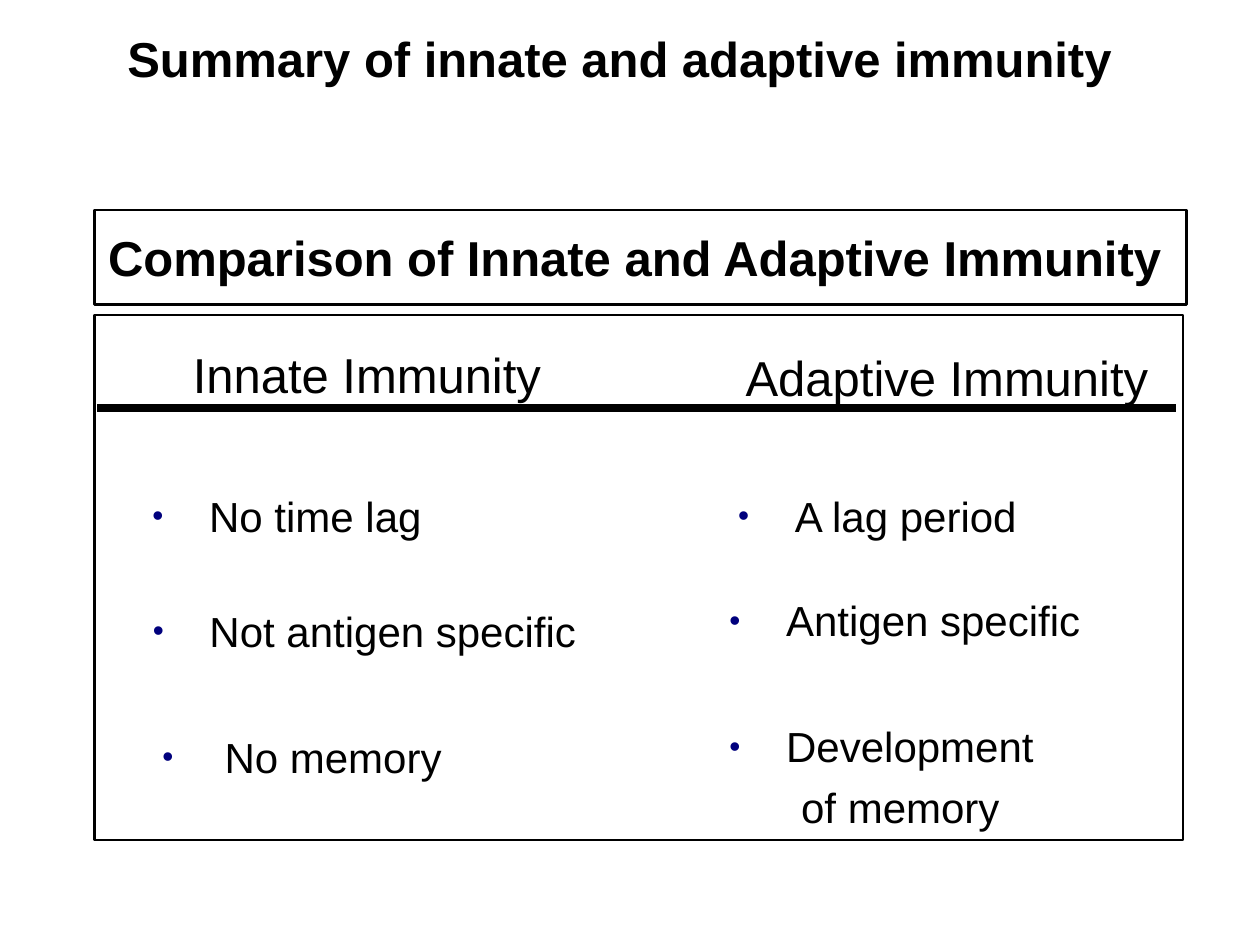
from lxml import etree
from pptx import Presentation
from pptx.dml.color import RGBColor
from pptx.enum import shapes, text
from pptx.oxml import ns
from pptx.util import Pt

FONT = "Arial"
BLACK, WHITE, NAVY = "000000", "FFFFFF", "00007D"


def color(hex_string):
    return RGBColor.from_string(hex_string)


def format_paragraph(paragraph, size, bold=False):
    for run in paragraph.runs:
        run.font.name = FONT
        run.font.size = Pt(size)
        run.font.bold = bold
        run.font.color.rgb = color(BLACK)


def set_margins(frame):
    frame.margin_left = frame.margin_right = Pt(7.8)
    frame.margin_top = frame.margin_bottom = Pt(4)


def add_box(slide, left, top, width, height):
    box = slide.shapes.add_shape(
        shapes.MSO_SHAPE.RECTANGLE, Pt(left), Pt(top), Pt(width), Pt(height))
    box.shadow.inherit = False
    box.fill.solid()
    box.fill.fore_color.rgb = color(WHITE)
    box.line.color.rgb = color(BLACK)
    box.line.width = Pt(1.5)
    return box


def add_rule(slide, left, right, y, weight):
    rule = slide.shapes.add_connector(
        shapes.MSO_CONNECTOR.STRAIGHT, Pt(left), Pt(y), Pt(right), Pt(y))
    rule.line.color.rgb = color(BLACK)
    rule.line.width = Pt(weight)
    etree.SubElement(rule._element.spPr, ns.qn("a:effectLst"))


def add_text(slide, content, left, top, width, height, size, bold=False, wrap=False):
    textbox = slide.shapes.add_textbox(Pt(left), Pt(top), Pt(width), Pt(height))
    frame = textbox.text_frame
    set_margins(frame)
    frame.word_wrap = wrap
    frame.text = content
    for paragraph in frame.paragraphs:
        format_paragraph(paragraph, size, bold)
    return frame


def add_bullet(paragraph, indent):
    """Give the paragraph a small navy dot with a hanging indent."""
    properties = paragraph._p.get_or_add_pPr()
    properties.set("marL", str(Pt(indent)))
    properties.set("indent", str(Pt(-indent)))
    bullet_color = etree.SubElement(properties, ns.qn("a:buClr"))
    etree.SubElement(bullet_color, ns.qn("a:srgbClr"), val=NAVY)
    etree.SubElement(properties, ns.qn("a:buSzPct"), val="75000")
    etree.SubElement(properties, ns.qn("a:buFont"), typeface=FONT)
    etree.SubElement(properties, ns.qn("a:buChar"), char="•")


def add_point(slide, content, left, top, width, height=37, indent=32.4, wrap=False):
    """Add a bulleted point; further lines are indented without a bullet."""
    frame = add_text(slide, content, left, top, width, height, 24, wrap=wrap)
    first, *others = frame.paragraphs
    add_bullet(first, indent)
    for paragraph in others:
        paragraph.level = 1
        paragraph.space_before = Pt(6)
        paragraph._p.get_or_add_pPr().set("marL", str(Pt(41)))


def add_heading_box(slide, content):
    box = add_box(slide, 54, 120, 624, 54)
    frame = box.text_frame
    set_margins(frame)
    frame.word_wrap = True
    frame.vertical_anchor = text.MSO_ANCHOR.MIDDLE
    frame.text = content
    frame.paragraphs[0].alignment = text.PP_ALIGN.LEFT
    format_paragraph(frame.paragraphs[0], 28, bold=True)


def main():
    presentation = Presentation()
    presentation.slide_width, presentation.slide_height = Pt(720), Pt(540)
    slide = presentation.slides.add_slide(presentation.slide_layouts[6])

    add_box(slide, 54, 180, 622, 300)
    add_text(slide, "Innate Immunity", 102.4, 193, 214.5, 42, 28)
    add_text(slide, "Adaptive Immunity", 418.3, 194.5, 246, 42, 28)
    add_rule(slide, 55.5, 672, 233.3, 4.5)
    add_heading_box(slide, "Comparison of Innate and Adaptive Immunity")

    add_point(slide, "No time lag", 79.3, 276, 170)
    add_point(slide, "Not antigen specific", 79.5, 342, 258.5)
    add_point(slide, "No memory", 85, 414, 184.5, indent=35.5, wrap=True)
    add_point(slide, "A lag period", 414, 276, 177)
    add_point(slide, "Antigen specific", 409, 336, 216.7)
    add_point(slide, "Development\nof memory", 409, 408, 190, height=71)

    title = add_text(slide, "Summary of innate and adaptive immunity",
                     36, 12.5, 636, 41, 28, bold=True, wrap=True)
    title.paragraphs[0].alignment = text.PP_ALIGN.CENTER
    presentation.save("out.pptx")


if __name__ == "__main__":
    main()
